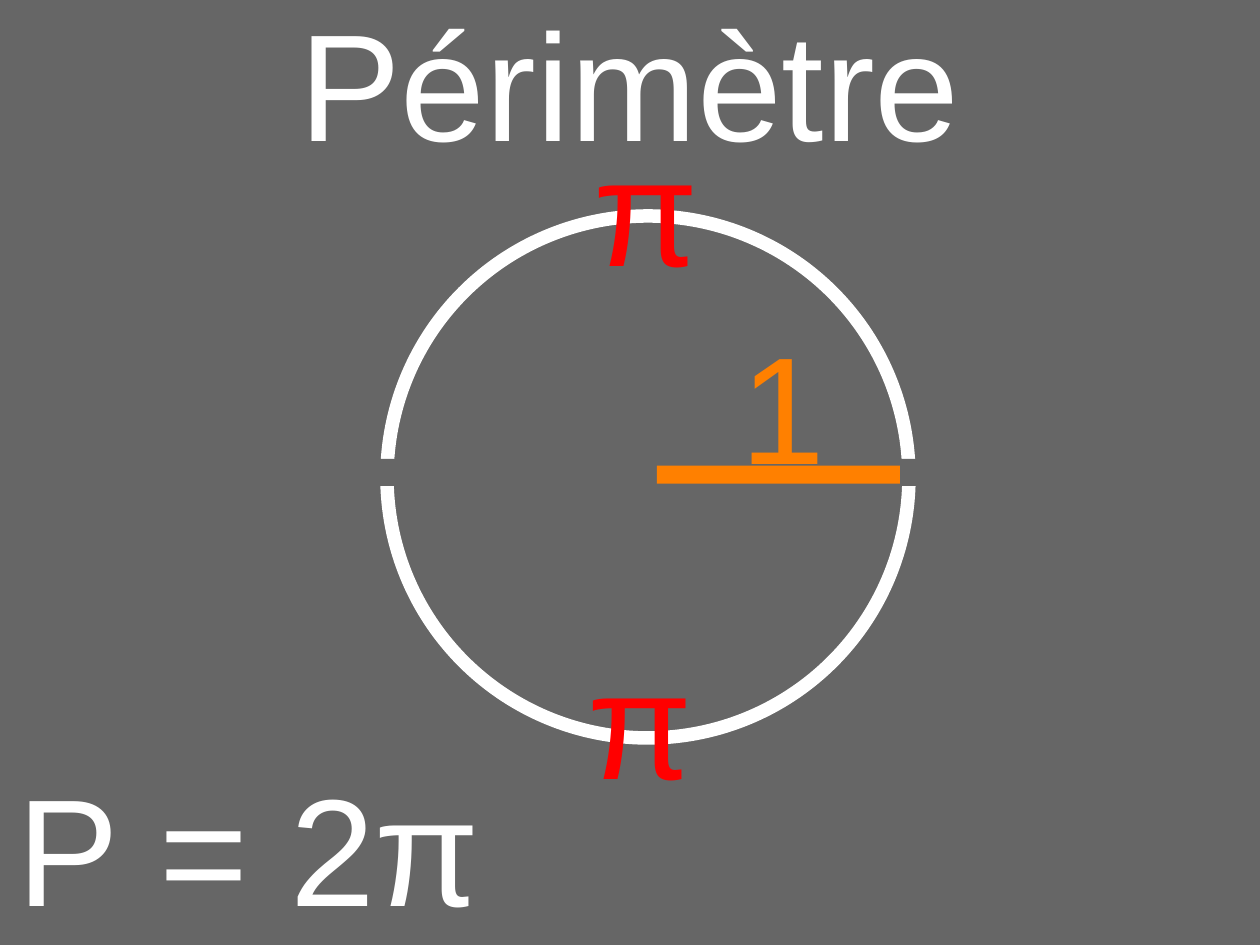
from typing import NamedTuple, Optional

from pptx import Presentation
from pptx.dml.color import RGBColor
from pptx.enum.shapes import MSO_SHAPE
from pptx.enum.text import MSO_ANCHOR, MSO_AUTO_SIZE, PP_ALIGN
from pptx.slide import Slide
from pptx.util import Cm, Pt

WIDTH, HEIGHT = 28, 21
GREY, WHITE, ORANGE, RED = "666666", "FFFFFF", "FF8000", "FF0000"


class Box(NamedTuple):
    left: float
    top: float
    width: float
    height: float


class Form(NamedTuple):
    kind: MSO_SHAPE
    box: Box
    fill: Optional[str] = None
    line: Optional[str] = None


class Label(NamedTuple):
    text: str
    box: Box
    color: str
    align: PP_ALIGN = PP_ALIGN.LEFT
    anchor: MSO_ANCHOR = MSO_ANCHOR.TOP
    inset: tuple[float, float] = (0.25, 0.13)


FORMS = [
    Form(MSO_SHAPE.RECTANGLE, Box(0, 0, WIDTH, HEIGHT), fill=GREY),
    Form(MSO_SHAPE.OVAL, Box(8.6, 4.8, 11.6, 11.6), line=WHITE),
    Form(MSO_SHAPE.RECTANGLE, Box(7.8, 10.2, 13, 0.6), fill=GREY),
    Form(MSO_SHAPE.RECTANGLE, Box(14.6, 10.35, 5.4, 0.4), fill=ORANGE),
]

LABELS = [
    Label("1", Box(16.2, 6.8, 1.62, 4.05), ORANGE),
    Label("Périmètre", Box(5.98, -0.4, 16.02, 4.4), WHITE,
          PP_ALIGN.CENTER, MSO_ANCHOR.MIDDLE, (0, 0)),
    Label("π", Box(12.95, 2.4, 2.85, 4.05), RED),
    Label("π", Box(12.8, 13.8, 2.85, 4.05), RED),
    Label("P = 2π", Box(0.4, 16.6, 16.02, 4.4), WHITE,
          anchor=MSO_ANCHOR.MIDDLE, inset=(0, 0)),
]


def paint(code: str) -> RGBColor:
    return RGBColor.from_string(code)


def draw_form(slide: Slide, form: Form) -> None:
    shape = slide.shapes.add_shape(form.kind, *map(Cm, form.box))
    shape.shadow.inherit = False
    if form.fill:
        shape.fill.solid()
        shape.fill.fore_color.rgb = paint(form.fill)
    else:
        shape.fill.background()
    if form.line:
        shape.line.color.rgb = paint(form.line)
        shape.line.width = Pt(8.5)
    else:
        shape.line.fill.background()


def draw_label(slide: Slide, label: Label) -> None:
    frame = slide.shapes.add_textbox(*map(Cm, label.box)).text_frame
    frame.word_wrap = True
    frame.auto_size = MSO_AUTO_SIZE.SHAPE_TO_FIT_TEXT
    frame.vertical_anchor = label.anchor
    side, edge = map(Cm, label.inset)
    frame.margin_left = frame.margin_right = side
    frame.margin_top = frame.margin_bottom = edge
    para = frame.paragraphs[0]
    para.alignment = label.align
    run = para.add_run()
    run.text = label.text
    run.font.name = "Arial"
    run.font.size = Pt(96)
    run.font.color.rgb = paint(label.color)


def main() -> None:
    deck = Presentation()
    deck.slide_width, deck.slide_height = Cm(WIDTH), Cm(HEIGHT)
    slide = deck.slides.add_slide(deck.slide_layouts[6])
    for form in FORMS:
        draw_form(slide, form)
    for label in LABELS:
        draw_label(slide, label)
    deck.save("out.pptx")


if __name__ == "__main__":
    main()
